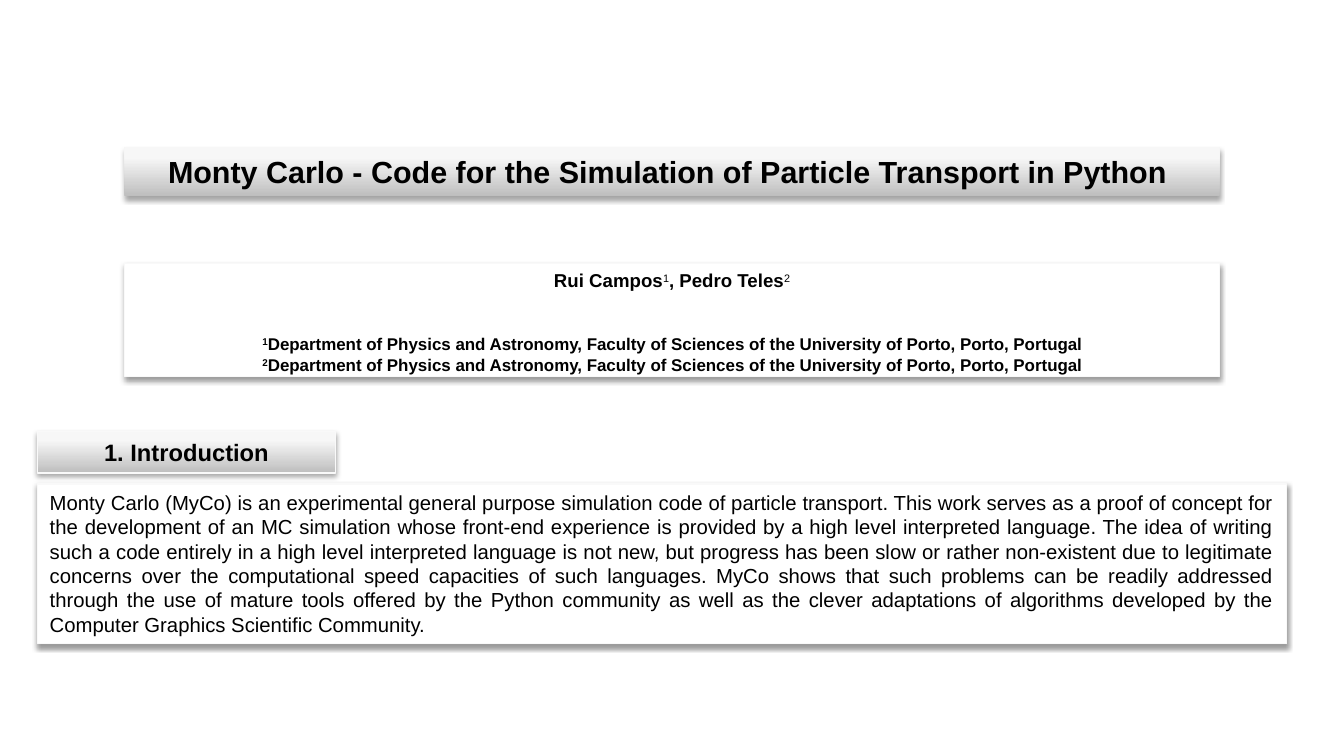
import copy
from dataclasses import dataclass

import pptx
import pptx.dml.color
import pptx.enum.text
import pptx.oxml
import pptx.oxml.ns
import pptx.util
import pptx.enum.shapes

Inches, Pt = pptx.util.Inches, pptx.util.Pt
ALIGN = pptx.enum.text.PP_ALIGN
GREY_STOPS = ((0, "BEBEBE"), (0.8, "F7F7F7"), (1, "F8F8F8"))
BORDER = "F9F9F9"


@dataclass
class Run:
    text: str
    bold: bool = True
    superscript: bool = False


@dataclass
class Line:
    runs: list[Run]
    size: float
    align: ALIGN = ALIGN.CENTER
    space_before: float = 0


@dataclass
class Panel:
    left: float
    top: float
    width: float
    height: float
    lines: list[Line]
    header: bool = False
    border: bool = True


def color(value: str) -> pptx.dml.color.RGBColor:
    return pptx.dml.color.RGBColor.from_string(value)


def fill_grey_gradient(sp) -> None:
    """Shade from dark at the bottom to light at the top."""
    sp.fill.gradient()
    sp.fill.gradient_angle = 90
    stops = sp._element.spPr.find(".//" + pptx.oxml.ns.qn("a:gsLst"))
    stops.append(copy.deepcopy(stops[-1]))
    for stop, (position, value) in zip(sp.fill.gradient_stops, GREY_STOPS):
        stop.position = position
        stop.color.rgb = color(value)


def add_shadow(sp, opacity: int, distance: float) -> None:
    sp.shadow.inherit = False
    effects = sp._element.spPr.find(pptx.oxml.ns.qn("a:effectLst"))
    effects.append(pptx.oxml.parse_xml(
        f'<a:outerShdw {pptx.oxml.ns.nsdecls("a")} blurRad="{Pt(3.1)}" '
        f'dist="{Pt(distance)}" dir="5400000" rotWithShape="0">'
        f'<a:srgbClr val="000000"><a:alpha val="{opacity * 1000}"/></a:srgbClr>'
        '</a:outerShdw>'))


def write_line(p, line: Line) -> None:
    p.alignment = line.align
    if line.space_before:
        p.space_before = Pt(line.space_before)
    for run in line.runs:
        r = p.add_run()
        r.text = run.text
        r.font.name = "Arial"
        r.font.size = Pt(line.size)
        r.font.bold = run.bold
        r.font.color.rgb = color("000000")
        if run.superscript:
            r.font._element.set("baseline", "30000")


def draw_panel(s, panel: Panel) -> None:
    sp = s.shapes.add_shape(
        pptx.enum.shapes.MSO_SHAPE.RECTANGLE, Inches(panel.left),
        Inches(panel.top), Inches(panel.width), Inches(panel.height))
    if panel.header:
        fill_grey_gradient(sp)
        add_shadow(sp, 35, 1.8)
    else:
        sp.fill.solid()
        sp.fill.fore_color.rgb = color("FFFFFF")
        add_shadow(sp, 38, 1.6)
    if panel.border:
        sp.line.color.rgb = color(BORDER)
        sp.line.width = Pt(0.75)
    else:
        sp.line.fill.background()
    tf = sp.text_frame
    tf.word_wrap = True
    tf.auto_size = pptx.enum.text.MSO_AUTO_SIZE.SHAPE_TO_FIT_TEXT
    tf.vertical_anchor = pptx.enum.text.MSO_ANCHOR.TOP
    for i, line in enumerate(panel.lines):
        write_line(tf.add_paragraph() if i else tf.paragraphs[0], line)


DEPARTMENT = ("Department of Physics and Astronomy, Faculty of Sciences of the "
              "University of Porto, Porto, Portugal")
INTRODUCTION = (
    "Monty Carlo (MyCo) is an experimental general purpose simulation code of "
    "particle transport. This work serves as a proof of concept for the "
    "development of an MC simulation whose front-end experience is provided by "
    "a high level interpreted language. The idea of writing such a code "
    "entirely in a high level interpreted language is not new, but progress "
    "has been slow or rather non-existent due to legitimate concerns over the "
    "computational speed capacities of such languages. MyCo shows that such "
    "problems can be readily addressed through the use of mature tools offered "
    "by the Python community as well as the clever adaptations of algorithms "
    "developed by the Computer Graphics Scientific Community.")
TITLE = "Monty Carlo - Code for the Simulation of Particle Transport in Python "
AUTHORS = [Run("Rui Campos"), Run("1", False, True),
           Run(", Pedro Teles"), Run("2", False, True)]
AFFILIATIONS = [
    Line([Run(mark, superscript=True), Run(DEPARTMENT)], 10, space_before=gap)
    for mark, gap in (("1", 25), ("2", 0))]

PANELS = [
    Panel(0.31, 3.97, 10.24, 1.31,
          [Line([Run(INTRODUCTION, bold=False)], 12, ALIGN.JUSTIFY)]),
    Panel(0.31, 3.54, 2.44, 0.34, [Line([Run("1. Introduction")], 14)],
          header=True),
    Panel(1.02, 1.21, 8.98, 0.4, [Line([Run(TITLE)], 18)],
          header=True, border=False),
    Panel(1.02, 2.16, 8.98, 0.93, [Line(AUTHORS, 11), *AFFILIATIONS]),
]


def main() -> None:
    prs = pptx.Presentation()
    prs.slide_width, prs.slide_height = Inches(11.02), Inches(6.2)
    s = prs.slides.add_slide(prs.slide_layouts[6])
    for panel in PANELS:
        draw_panel(s, panel)
    prs.save("out.pptx")


if __name__ == "__main__":
    main()
